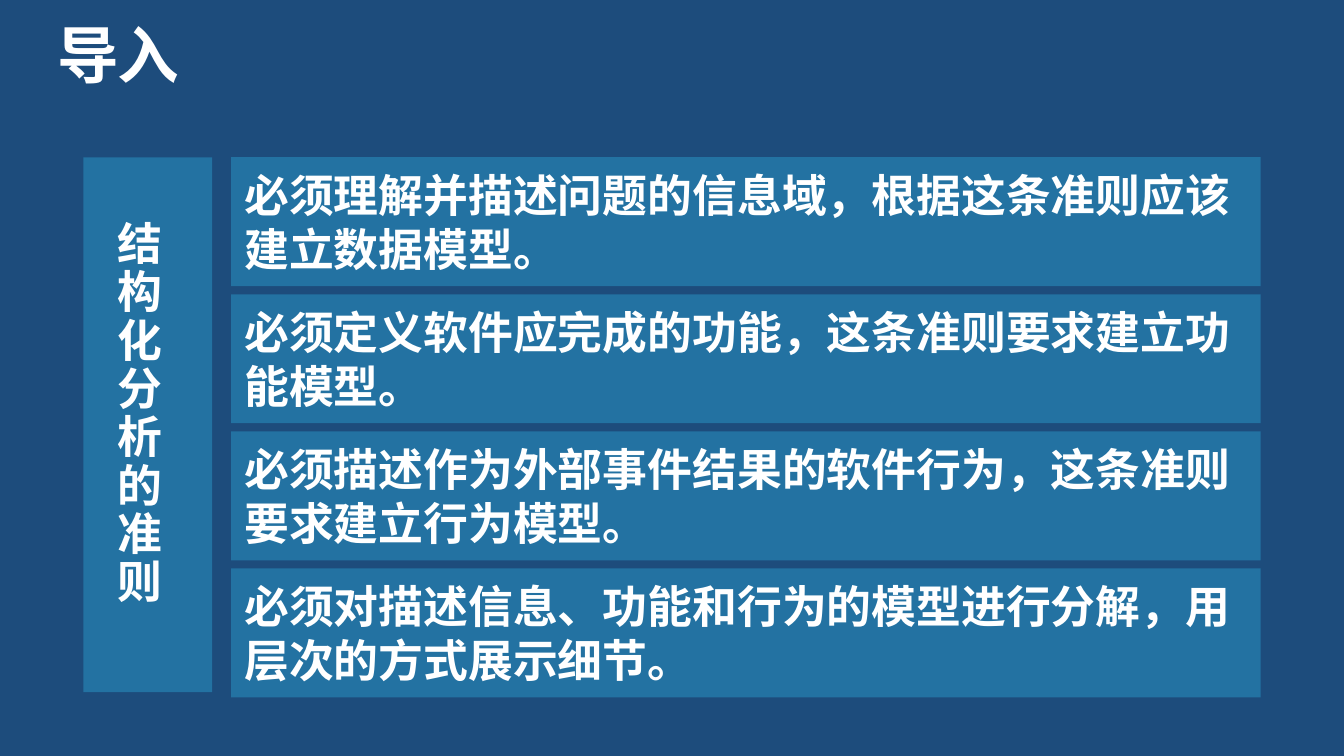
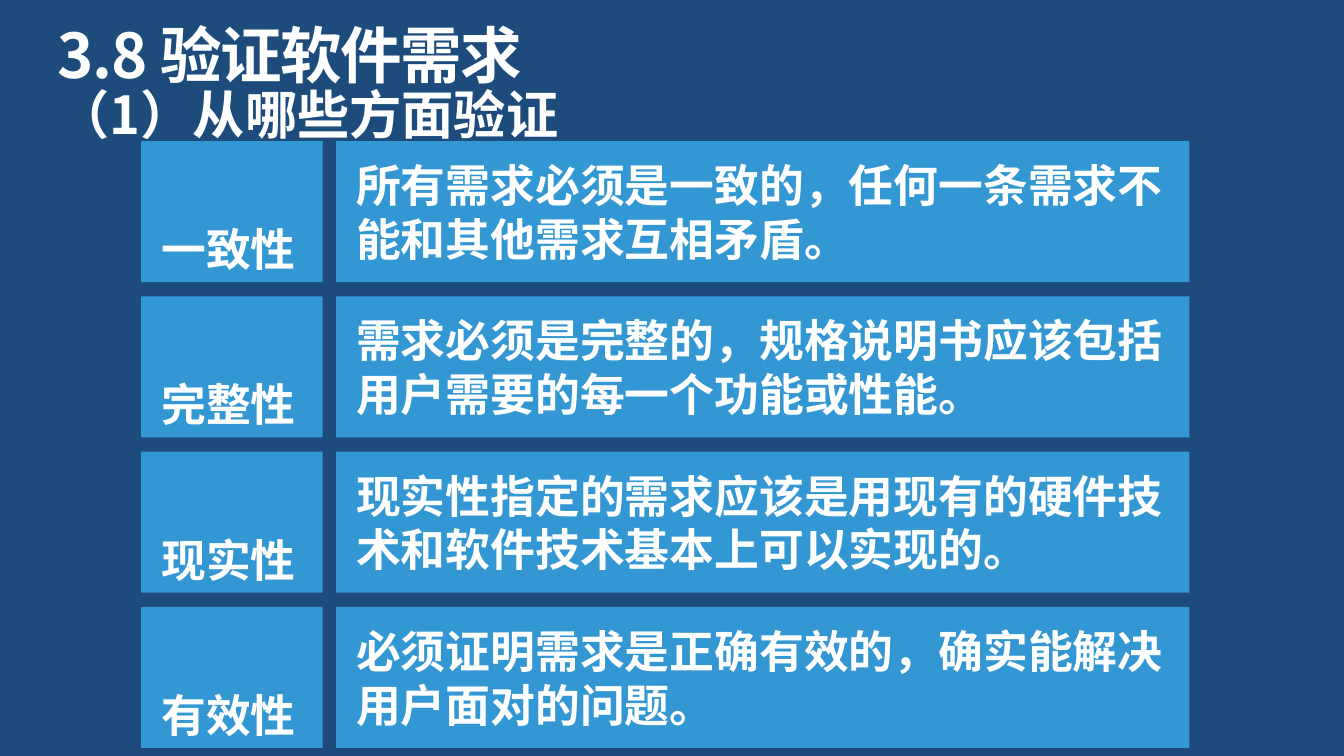
"""Build two slides on structured analysis rules and requirement validation."""
from dataclasses import dataclass

from lxml import etree
from pptx import Presentation
from pptx.dml.color import RGBColor
from pptx.enum.shapes import MSO_SHAPE
from pptx.enum.text import MSO_ANCHOR, MSO_AUTO_SIZE, PP_ALIGN
from pptx.oxml.ns import qn
from pptx.util import Inches, Pt

RECTANGLE = MSO_SHAPE.RECTANGLE
TOP, MIDDLE, BOTTOM = MSO_ANCHOR.TOP, MSO_ANCHOR.MIDDLE, MSO_ANCHOR.BOTTOM
LEFT, CENTER = PP_ALIGN.LEFT, PP_ALIGN.CENTER
GROW, FIXED = MSO_AUTO_SIZE.SHAPE_TO_FIT_TEXT, MSO_AUTO_SIZE.NONE

SLIDE_WIDTH, SLIDE_HEIGHT = Inches(10), Inches(5.625)
CELL = SLIDE_WIDTH / 100


@dataclass(frozen=True)
class Theme:
    """Colours, font and type sizes shared by the slides."""

    background: str = "1D4C7C"
    rule_fill: str = "2372A2"
    aspect_fill: str = "3397D3"
    text: str = "FFFFFF"
    font: str = "Noto Sans CJK SC"
    title_size: int = 33
    subtitle_size: int = 28
    body_size: int = 24


THEME = Theme()


@dataclass(frozen=True)
class Area:
    """A rectangle measured in grid columns and rows."""

    left: float
    top: float
    width: float
    height: float

    def lengths(self) -> tuple[int, ...]:
        """Return the four measures as slide lengths."""
        return tuple(round(value * CELL) for value in (self.left, self.top, self.width, self.height))

    def row(self, index: int, pitch: float) -> "Area":
        """Return the area moved down by a number of row pitches."""
        return Area(self.left, self.top + index * pitch, self.width, self.height)


@dataclass(frozen=True)
class TextStyle:
    """How the text of a box is set; insets run left, top, right, bottom."""

    size: int = THEME.body_size
    insets: tuple[float, float, float, float] = (1, 0.5, 1, 0.5)
    anchor: MSO_ANCHOR = TOP
    alignment: PP_ALIGN = LEFT
    auto_size: MSO_AUTO_SIZE = GROW
    line_spacing: float = 1.0
    tracking: int = 0


@dataclass(frozen=True)
class Aspect:
    """One aspect of requirement validation."""

    name: str
    description: str


TITLE_STYLE = TextStyle(THEME.title_size, (0, 0, 0, 0), line_spacing=0.9, tracking=-80)
SUBTITLE_STYLE = TextStyle(THEME.subtitle_size, (0, 0, 0, 0))
RULE_STYLE = TextStyle()
HEADING_STYLE = TextStyle(line_spacing=0.9)
NAME_STYLE = TextStyle(insets=(0.5, 0.5, 1, 0.5), anchor=BOTTOM, alignment=CENTER, auto_size=FIXED)
DESCRIPTION_STYLE = TextStyle(insets=(1.5, 1.3, 1.3, 1.3), anchor=MIDDLE, auto_size=FIXED)

TITLE_AREA = Area(4.3, 1.9, 91.5, 5)
SUBTITLE_AREA = Area(4.3, 6.1, 91.5, 4.7)

HEADING_PANEL = Area(6.2, 11.7, 9.6, 39.8)
HEADING_TEXT = Area(7.8, 16, 6.3, 30.1)
RULE_PANEL = Area(17.2, 11.7, 76.6, 9.6)
RULE_TEXT = Area(17.2, 12, 75.8, 9.1)
RULE_PITCH = 10.2
RULES = (
    "必须理解并描述问题的信息域，根据这条准则应该建立数据模型。",
    "必须定义软件应完成的功能，这条准则要求建立功能模型。",
    "必须描述作为外部事件结果的软件行为，这条准则要求建立行为模型。",
    "必须对描述信息、功能和行为的模型进行分解，用层次的方式展示细节。",
)

NAME_AREA = Area(10.5, 10.5, 13.5, 10.5)
DESCRIPTION_AREA = Area(25, 10.5, 63.5, 10.5)
ASPECT_PITCH = 11.55
ASPECTS = (
    Aspect("一致性", "所有需求必须是一致的，任何一条需求不能和其他需求互相矛盾。"),
    Aspect("完整性", "需求必须是完整的，规格说明书应该包括用户需要的每一个功能或性能。"),
    Aspect("现实性", "现实性指定的需求应该是用现有的硬件技术和软件技术基本上可以实现的。"),
    Aspect("有效性", "必须证明需求是正确有效的，确实能解决用户面对的问题。"),
)


def write_text(shape, text: str, style: TextStyle) -> None:
    """Put one styled paragraph into a shape."""
    frame = shape.text_frame
    frame.word_wrap = True
    frame.auto_size = style.auto_size
    frame.vertical_anchor = style.anchor
    frame.margin_left, frame.margin_top, frame.margin_right, frame.margin_bottom = (
        round(inset * CELL) for inset in style.insets
    )
    paragraph = frame.paragraphs[0]
    paragraph.text = text
    paragraph.alignment = style.alignment
    paragraph.line_spacing = style.line_spacing
    font = paragraph.font
    font.size = Pt(style.size)
    font.bold = True
    font.color.rgb = RGBColor.from_string(THEME.text)
    font.name = THEME.font
    properties = paragraph._p.pPr.find(qn("a:defRPr"))
    etree.SubElement(properties, qn("a:ea"), typeface=THEME.font)
    if style.tracking:
        properties.set("spc", str(style.tracking))


def add_panel(slide, area: Area, fill: str):
    """Draw a plain filled rectangle and return it."""
    panel = slide.shapes.add_shape(RECTANGLE, *area.lengths())
    panel.shadow.inherit = False
    panel.fill.solid()
    panel.fill.fore_color.rgb = RGBColor.from_string(fill)
    panel.line.fill.background()
    return panel


def add_text_panel(slide, area: Area, fill: str, text: str, style: TextStyle) -> None:
    """Draw a filled rectangle that holds text."""
    write_text(add_panel(slide, area, fill), text, style)


def add_slide(presentation, title: str):
    """Add a blank slide with the shared background and title."""
    slide = presentation.slides.add_slide(presentation.slide_layouts[6])
    background = slide.background.fill
    background.solid()
    background.fore_color.rgb = RGBColor.from_string(THEME.background)
    write_text(slide.shapes.add_textbox(*TITLE_AREA.lengths()), title, TITLE_STYLE)
    return slide


def build_rules_slide(presentation) -> None:
    """Build the slide of structured analysis rules."""
    slide = add_slide(presentation, "导入")
    add_panel(slide, HEADING_PANEL, THEME.rule_fill)
    add_text_panel(slide, HEADING_TEXT, THEME.rule_fill, "结构化分析的准则", HEADING_STYLE)
    for index, rule in enumerate(RULES):
        add_panel(slide, RULE_PANEL.row(index, RULE_PITCH), THEME.rule_fill)
        add_text_panel(slide, RULE_TEXT.row(index, RULE_PITCH), THEME.rule_fill, rule, RULE_STYLE)


def build_validation_slide(presentation) -> None:
    """Build the slide of requirement validation aspects."""
    slide = add_slide(presentation, "3.8 验证软件需求")
    subtitle = slide.shapes.add_textbox(*SUBTITLE_AREA.lengths())
    write_text(subtitle, "（1）从哪些方面验证", SUBTITLE_STYLE)
    for index, aspect in enumerate(ASPECTS):
        for area, text, style in (
            (NAME_AREA, aspect.name, NAME_STYLE),
            (DESCRIPTION_AREA, aspect.description, DESCRIPTION_STYLE),
        ):
            add_text_panel(slide, area.row(index, ASPECT_PITCH), THEME.aspect_fill, text, style)


def main() -> None:
    """Build and save the presentation."""
    presentation = Presentation()
    presentation.slide_width, presentation.slide_height = SLIDE_WIDTH, SLIDE_HEIGHT
    build_rules_slide(presentation)
    build_validation_slide(presentation)
    presentation.save("out.pptx")


if __name__ == "__main__":
    main()
